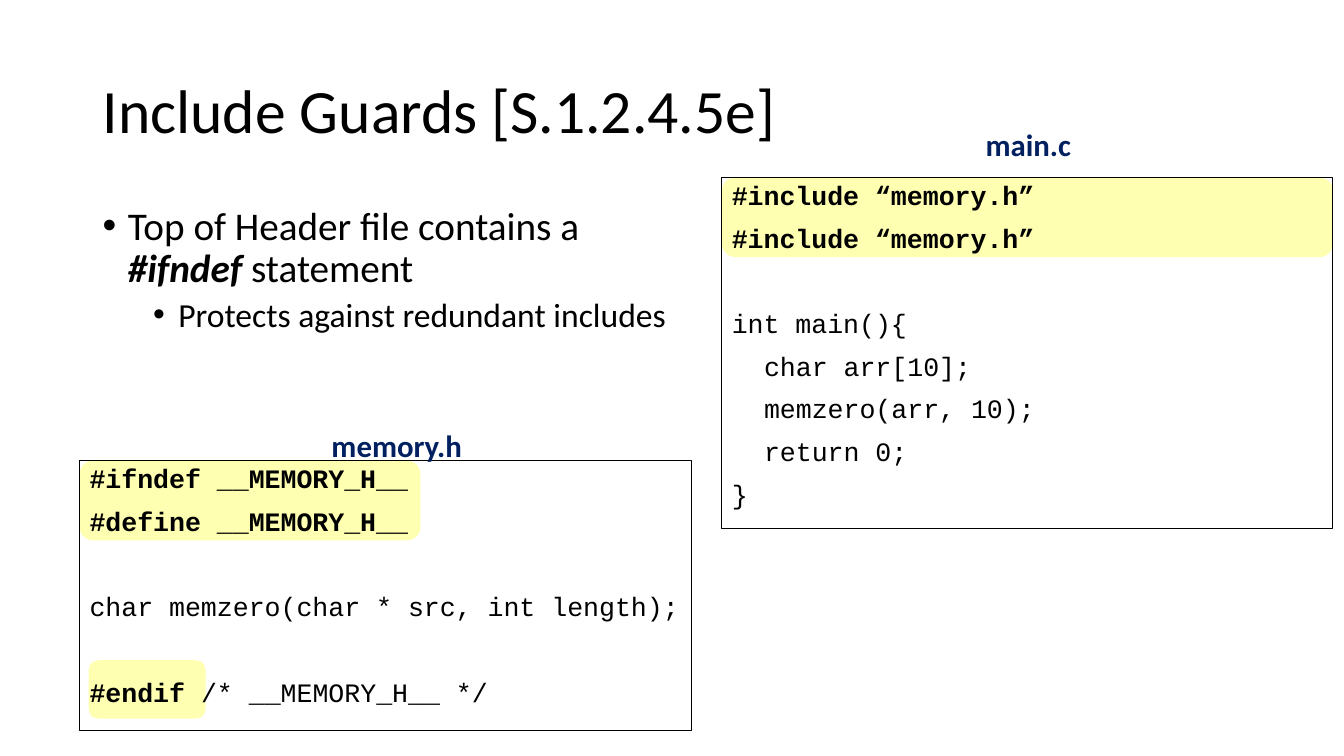
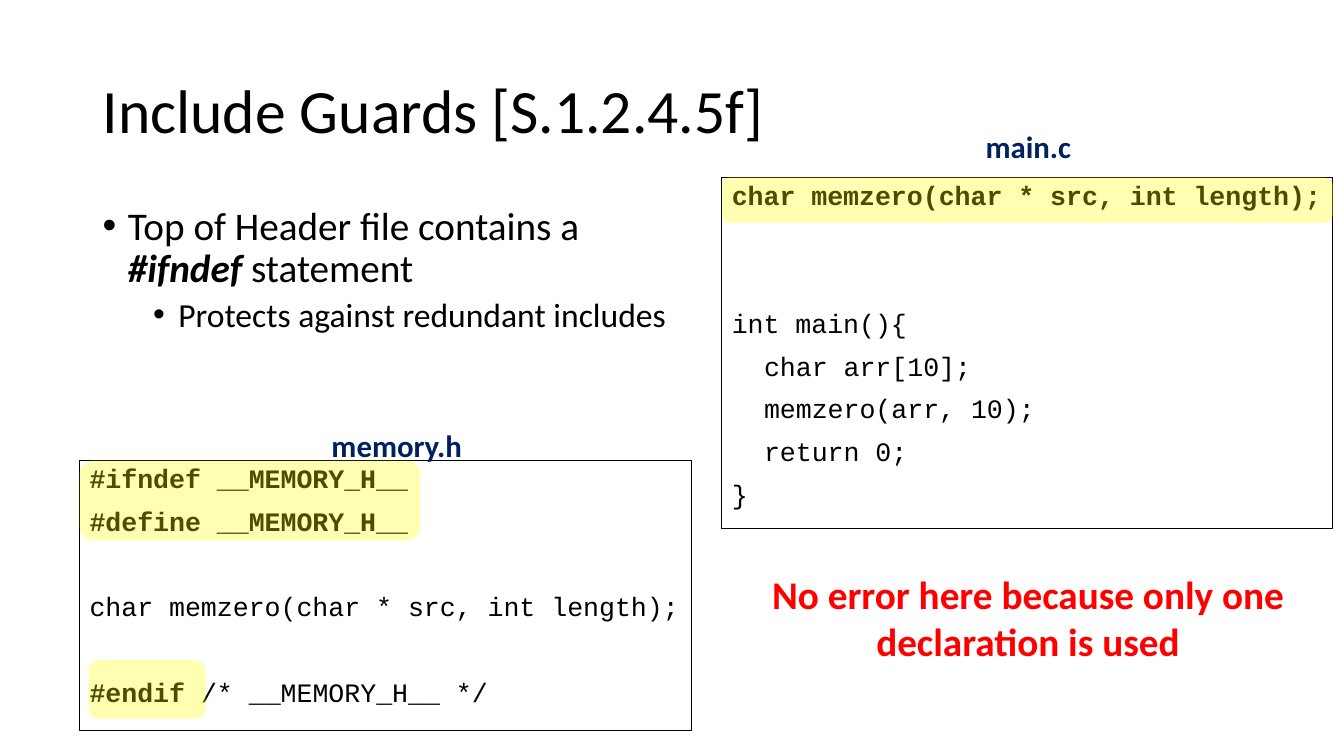
from dataclasses import dataclass

from lxml.etree import SubElement
from pptx import Presentation
from pptx.dml.color import RGBColor
from pptx.enum.shapes import MSO_SHAPE as Preset
from pptx.enum.text import MSO_ANCHOR as Anchor, PP_ALIGN as Align
from pptx.oxml.ns import qn
from pptx.shapes.autoshape import Shape
from pptx.slide import Slide
from pptx.util import Inches, Pt

COLORS = {
    "text": "000000",
    "file": "002060",
    "highlight": "FFFF00",
    "warning": "FF0000",
}
BODY_FONT, CODE_FONT = "Calibri", "Courier New"
CODE_SIZE = 19
CODE_GAP = 10
CODE_PITCH = 30.5
CODE_INDENT = 0.32
HIGHLIGHT_OPACITY = 30


@dataclass(frozen=True)
class Box:
    left: float
    top: float
    width: float
    height: float

    def lengths(self) -> tuple[Inches, ...]:
        return tuple(map(Inches, (self.left, self.top, self.width, self.height)))


@dataclass(frozen=True)
class Run:
    text: str
    bold: bool = False
    italic: bool = False


@dataclass(frozen=True)
class Para:
    runs: tuple[Run, ...]
    before: float = 0
    indent: float = 0
    bullet: bool = False
    size: float | None = None


@dataclass(frozen=True)
class CodeFile:
    name: str
    label: Box
    frame: Box
    lines: tuple[Para, ...]
    highlights: tuple[Box, ...]


@dataclass(frozen=True)
class Lesson:
    title: str
    files: tuple[CodeFile, ...]
    highlights_on_top: bool = False
    remark: str = ""


def code(text: str, bold: bool = False, tail: str = "", skip: int = 0, depth: int = 0) -> Para:
    """One code line, set below `skip` empty lines."""
    runs = (Run(text, bold),) + ((Run(tail),) if tail else ())
    return Para(runs, CODE_GAP + skip * CODE_PITCH, depth * CODE_INDENT)


TITLE_BOX = Box(0.92, 0.4, 11.5, 1.45)
BODY_BOX = Box(0.92, 2, 5.94, 2.06)
REMARK_BOX = Box(7.54, 5.61, 5.31, 1.04)
HEADER_FRAME = Box(0.79, 4.57, 6.07, 2.68)
MAIN_FRAME = Box(7.16, 1.76, 6.06, 3.48)

BODY = (
    Para(
        (Run("Top of Header file contains a "), Run("#ifndef", True, True), Run(" statement")),
        before=10, indent=0.25, bullet=True,
    ),
    Para((Run("Protects against redundant includes"),), before=5, indent=0.75, bullet=True, size=24),
)
PROTOTYPE = "char memzero(char * src, int length);"
INCLUDE = code("#include “memory.h”", bold=True)

HEADER_FILE = CodeFile(
    "memory.h",
    Box(3.18, 4.18, 1.51, 0.47),
    HEADER_FRAME,
    (
        code("#ifndef __MEMORY_H__", bold=True),
        code("#define __MEMORY_H__", bold=True),
        code(PROTOTYPE, skip=1),
        code("#endif ", bold=True, tail="/* __MEMORY_H__ */", skip=1),
    ),
    (Box(HEADER_FRAME.left, HEADER_FRAME.top, 3.38, 0.79), Box(0.88, 6.55, 1.16, 0.58)),
)


def main_file(opening: tuple[Para, ...], skip: int, label_top: float, marked: float) -> CodeFile:
    """main.c with its opening lines highlighted to the height `marked`."""
    program = (
        code("int main(){", skip=skip),
        code("char arr[10];", depth=1),
        code("memzero(arr, 10);", depth=1),
        code("return 0;", depth=1),
        code("}"),
    )
    highlight = Box(MAIN_FRAME.left, MAIN_FRAME.top, MAIN_FRAME.width, marked)
    return CodeFile("main.c", Box(9.67, label_top, 1.06, 0.47), MAIN_FRAME, opening + program, (highlight,))


LESSONS = (
    Lesson(
        "Include Guards [S.1.2.4.5e]",
        (HEADER_FILE, main_file((INCLUDE, INCLUDE), 1, 1.2, 0.79)),
    ),
    Lesson(
        "Include Guards [S.1.2.4.5f]",
        (HEADER_FILE, main_file((code(PROTOTYPE, bold=True),), 2, 1.22, 0.45)),
        highlights_on_top=True,
        remark="No error here because only one declaration is used",
    ),
)


def write(
    shape: Shape,
    paragraphs: tuple[Para, ...],
    *,
    size: float,
    font: str = BODY_FONT,
    color: str = "text",
    align: Align = Align.LEFT,
    anchor: Anchor = Anchor.TOP,
    spacing: float = 1.0,
    wrap: bool = True,
) -> None:
    frame = shape.text_frame
    frame.word_wrap = wrap
    frame.vertical_anchor = anchor
    for index, content in enumerate(paragraphs):
        paragraph = frame.paragraphs[0] if index == 0 else frame.add_paragraph()
        paragraph.alignment = align
        paragraph.line_spacing = spacing
        paragraph.space_before = Pt(content.before)
        properties = paragraph._p.get_or_add_pPr()
        properties.set("marL", str(Inches(content.indent)))
        if content.bullet:
            properties.set("indent", str(Inches(-0.25)))
            SubElement(properties, qn("a:buFont"), typeface="Arial")
            SubElement(properties, qn("a:buChar"), char="•")
        for part in content.runs:
            run = paragraph.add_run()
            run.text = part.text
            run.font.name = font
            run.font.size = Pt(content.size or size)
            run.font.bold = part.bold
            run.font.italic = part.italic
            run.font.color.rgb = RGBColor.from_string(COLORS[color])


def add_text(slide: Slide, box: Box, paragraphs: tuple[Para, ...], **text_format) -> None:
    write(slide.shapes.add_textbox(*box.lengths()), paragraphs, **text_format)


def add_highlight(slide: Slide, box: Box) -> None:
    marker = slide.shapes.add_shape(Preset.ROUNDED_RECTANGLE, *box.lengths())
    marker.shadow.inherit = False
    marker.line.fill.background()
    marker.fill.solid()
    marker.fill.fore_color.rgb = RGBColor.from_string(COLORS["highlight"])
    color = next(marker._element.spPr.iter(qn("a:srgbClr")))
    SubElement(color, qn("a:alpha"), val=str(HIGHLIGHT_OPACITY * 1000))


def add_code_file(slide: Slide, file: CodeFile) -> None:
    frame = slide.shapes.add_shape(Preset.RECTANGLE, *file.frame.lengths())
    frame.shadow.inherit = False
    frame.fill.background()
    frame.line.color.rgb = RGBColor.from_string(COLORS["text"])
    frame.line.width = Pt(0.75)
    frame.text_frame.margin_right = Inches(0.05)
    write(frame, file.lines, size=CODE_SIZE, font=CODE_FONT, spacing=0.9)
    add_text(
        slide, file.label, (Para((Run(file.name, bold=True),)),),
        size=22, color="file", align=Align.CENTER, wrap=False,
    )


def add_lesson(slide: Slide, lesson: Lesson) -> None:
    title = (Para((Run(lesson.title),)),)
    add_text(slide, TITLE_BOX, title, size=44, anchor=Anchor.MIDDLE, spacing=0.9)
    add_text(slide, BODY_BOX, BODY, size=28, spacing=0.9)
    for file in lesson.files:
        if lesson.highlights_on_top:
            add_code_file(slide, file)
        for box in file.highlights:
            add_highlight(slide, box)
        if not lesson.highlights_on_top:
            add_code_file(slide, file)
    if lesson.remark:
        remark = (Para((Run(lesson.remark, bold=True),)),)
        add_text(slide, REMARK_BOX, remark, size=28, color="warning", align=Align.CENTER)


def main() -> None:
    deck = Presentation()
    deck.slide_width, deck.slide_height = Inches(13.33), Inches(7.5)
    blank = deck.slide_layouts[6]
    for lesson in LESSONS:
        add_lesson(deck.slides.add_slide(blank), lesson)
    deck.save("out.pptx")


if __name__ == "__main__":
    main()
